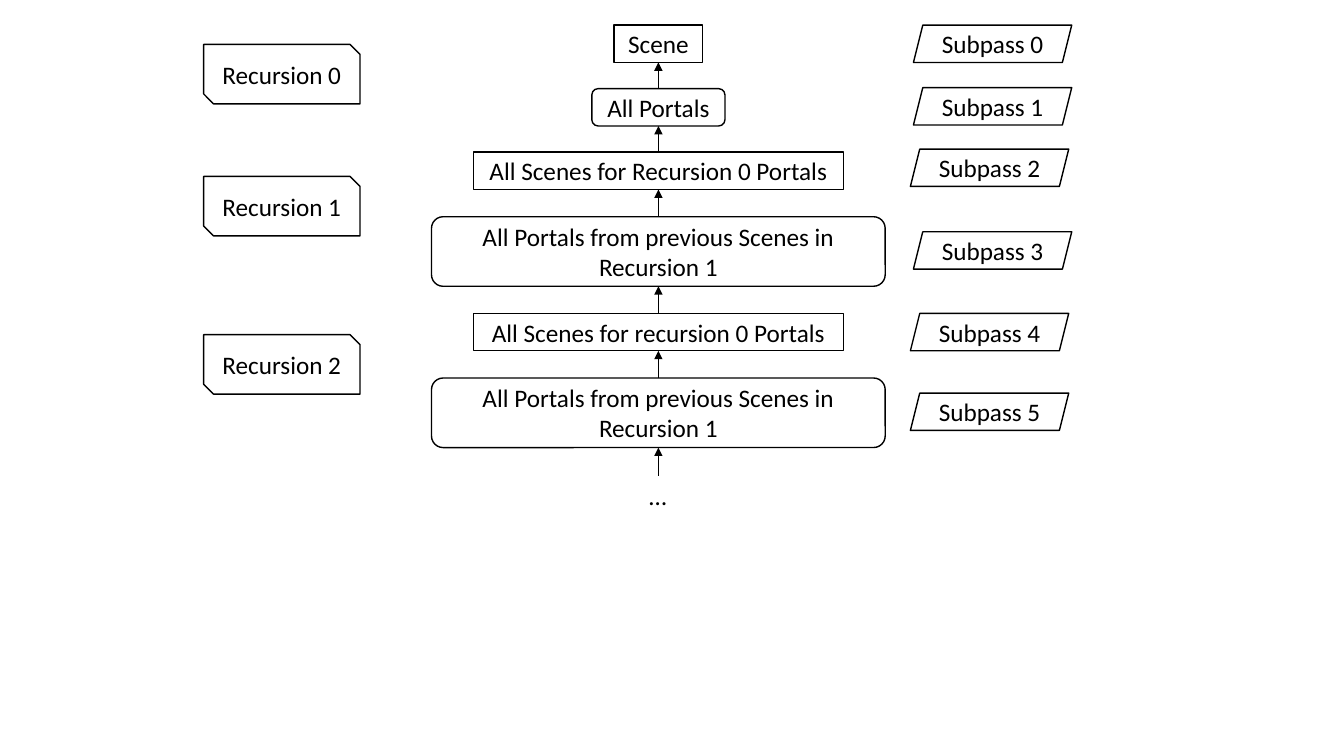
import pptx
import pptx.dml.color
import pptx.enum.shapes
import pptx.enum.text
import pptx.oxml
import pptx.oxml.ns
import pptx.util

Inches = pptx.util.Inches
SHAPES = pptx.enum.shapes.MSO_SHAPE
COLOURS = {"paper": "FFFFFF", "ink": "000000"}
FONT = "Calibri"

# Columns and rows, in inches
CHAIN_CENTRE = 6.53
RECURSION_LEFT, RECURSION_WIDTH, RECURSION_HEIGHT = 2.02, 1.55, 0.59
SUBPASS_WIDTH = 1.57
ROW_HEIGHT, TALL_ROW_HEIGHT = 0.37, 0.69
ELLIPSIS_TOP, ELLIPSIS_WIDTH, ELLIPSIS_HEIGHT = 4.72, 0.38, 0.4

# Text, shape, top, width, height
CHAIN = [
    ("Scene", SHAPES.RECTANGLE, 0.25, 0.88, ROW_HEIGHT),
    ("All Portals", SHAPES.ROUNDED_RECTANGLE, 0.88, 1.32, ROW_HEIGHT),
    ("All Scenes for Recursion 0 Portals", SHAPES.RECTANGLE, 1.51, 3.67, ROW_HEIGHT),
    ("All Portals from previous Scenes in Recursion 1",
     SHAPES.ROUNDED_RECTANGLE, 2.15, 4.5, TALL_ROW_HEIGHT),
    ("All Scenes for recursion 0 Portals", SHAPES.RECTANGLE, 3.11, 3.67, ROW_HEIGHT),
    ("All Portals from previous Scenes in Recursion 1",
     SHAPES.ROUNDED_RECTANGLE, 3.75, 4.5, TALL_ROW_HEIGHT),
]
RECURSION_TOPS = [0.44, 1.75, 3.32]
SUBPASS_PLACES = [(9.06, 0.25), (9.06, 0.87), (9.03, 1.48),
                  (9.06, 2.3), (9.03, 3.11), (9.03, 3.9)]


def colour(name):
    return pptx.dml.color.RGBColor.from_string(COLOURS[name])


def write_text(shape, text, align):
    shape.text_frame.text = text
    para = shape.text_frame.paragraphs[0]
    para.alignment = align
    font = para.runs[0].font
    font.name = FONT
    font.size = pptx.util.Pt(18)
    font.color.rgb = colour("ink")


def add_box(slide, kind, text, left, top, width, height):
    box = slide.shapes.add_shape(
        kind, Inches(left), Inches(top), Inches(width), Inches(height))
    box.shadow.inherit = False
    box.fill.solid()
    box.fill.fore_color.rgb = colour("paper")
    box.line.color.rgb = colour("ink")
    box.line.width = pptx.util.Pt(1)
    box.text_frame.word_wrap = True
    box.text_frame.vertical_anchor = pptx.enum.text.MSO_ANCHOR.MIDDLE
    write_text(box, text, pptx.enum.text.PP_ALIGN.CENTER)


def add_up_arrow(slide, start, end):
    """Draw an arrow along the chain's centre from height start up to end."""
    centre = Inches(CHAIN_CENTRE)
    arrow = slide.shapes.add_connector(
        pptx.enum.shapes.MSO_CONNECTOR.STRAIGHT,
        centre, Inches(start), centre, Inches(end))
    arrow.line.color.rgb = colour("ink")
    arrow.line.width = pptx.util.Pt(1)
    head = pptx.oxml.parse_xml(
        f'<a:tailEnd {pptx.oxml.ns.nsdecls("a")} type="triangle"/>')
    arrow.line._get_or_add_ln().append(head)
    no_shadow = pptx.oxml.parse_xml(f'<a:effectLst {pptx.oxml.ns.nsdecls("a")}/>')
    arrow._element.spPr.append(no_shadow)


def add_ellipsis(slide):
    box = slide.shapes.add_textbox(
        Inches(CHAIN_CENTRE - ELLIPSIS_WIDTH / 2), Inches(ELLIPSIS_TOP),
        Inches(ELLIPSIS_WIDTH), Inches(ELLIPSIS_HEIGHT))
    box.text_frame.word_wrap = False
    box.text_frame.auto_size = pptx.enum.text.MSO_AUTO_SIZE.SHAPE_TO_FIT_TEXT
    write_text(box, "…", pptx.enum.text.PP_ALIGN.LEFT)


def add_chain(slide):
    next_tops = [step[2] for step in CHAIN[1:]] + [ELLIPSIS_TOP]
    for (text, kind, top, width, height), next_top in zip(CHAIN, next_tops):
        add_box(slide, kind, text, CHAIN_CENTRE - width / 2, top, width, height)
        add_up_arrow(slide, next_top, top + height)
    add_ellipsis(slide)


def main():
    deck = pptx.Presentation()
    deck.slide_width, deck.slide_height = Inches(13.33), Inches(7.5)
    slide = deck.slides.add_slide(deck.slide_layouts.get_by_name("Blank"))
    add_chain(slide)
    for number, top in enumerate(RECURSION_TOPS):
        add_box(slide, SHAPES.SNIP_2_DIAG_RECTANGLE, f"Recursion {number}",
                RECURSION_LEFT, top, RECURSION_WIDTH, RECURSION_HEIGHT)
    for number, (left, top) in enumerate(SUBPASS_PLACES):
        add_box(slide, SHAPES.PARALLELOGRAM, f"Subpass {number}",
                left, top, SUBPASS_WIDTH, ROW_HEIGHT)
    deck.save("out.pptx")


if __name__ == "__main__":
    main()
